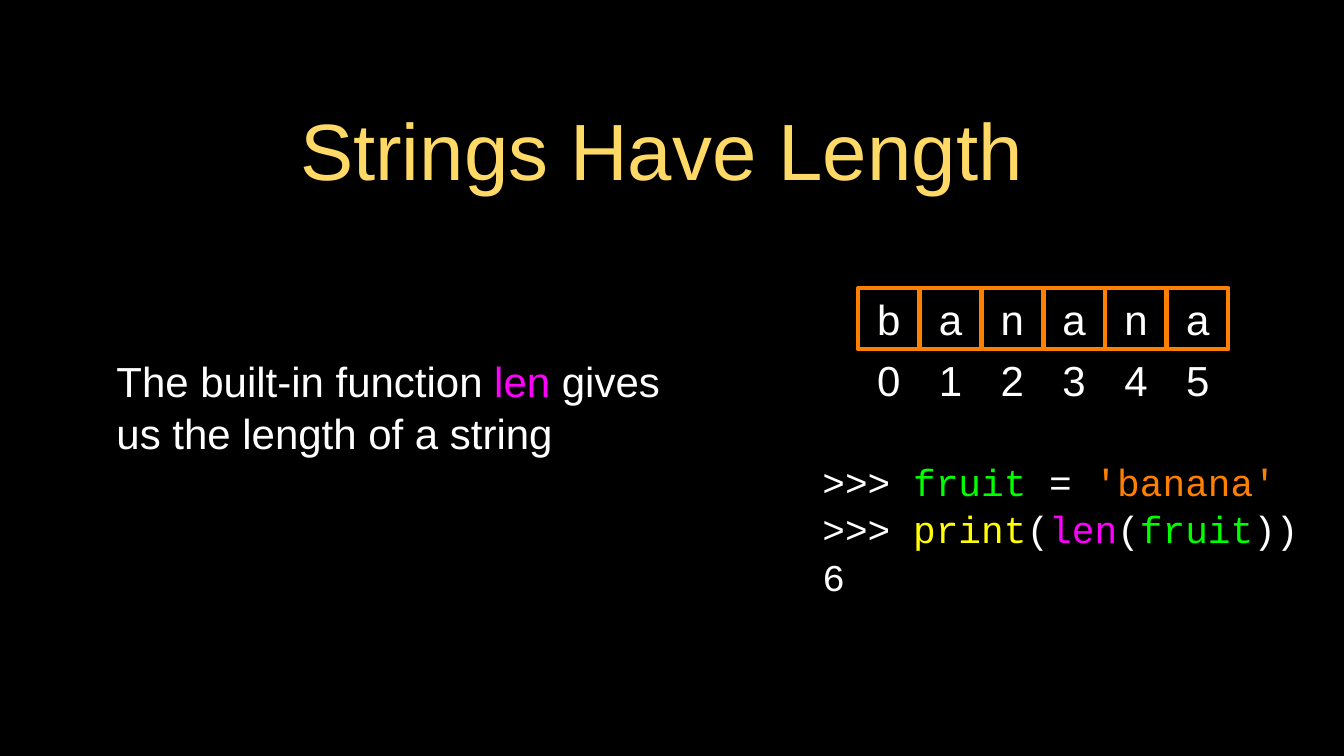
from dataclasses import dataclass

from pptx import Presentation
from pptx import util as u
from pptx.dml.color import RGBColor
from pptx.enum import shapes, text

WIDTH, HEIGHT = u.Inches(17.78), u.Inches(10)
BLACK, WHITE, GOLD = "000000", "FFFFFF", "FFD966"
ORANGE, GREEN, YELLOW, MAGENTA = "FF7F00", "00FF00", "FFFF00", "FF00FF"
SANS, MONO = "Arial", "Courier New"


@dataclass(frozen=True)
class Area:
    """Position and size in percent of the slide."""
    left: float
    top: float
    width: float
    height: float

    def box(self) -> tuple[int, int, int, int]:
        return (int(WIDTH * self.left / 100), int(HEIGHT * self.top / 100),
                int(WIDTH * self.width / 100), int(HEIGHT * self.height / 100))


@dataclass(frozen=True)
class Style:
    font: str
    size: int
    align: text.PP_ALIGN = text.PP_ALIGN.LEFT
    inset: float = 0
    spacing: float = 1.0


@dataclass(frozen=True)
class Grid:
    left: float
    top: float
    column: float
    cell_width: float
    cell_height: float

    def cell(self, column: int, row: int) -> Area:
        return Area(self.left + column * self.column,
                    self.top + row * self.cell_height,
                    self.cell_width, self.cell_height)


Line = list[tuple[str, str]]

HEADING = Style(SANS, 76, text.PP_ALIGN.CENTER, 0.04)
STATEMENT = Style(SANS, 40, inset=0.04, spacing=1.04)
CODE = Style(MONO, 36, spacing=1.05)
LETTER = Style(SANS, 40, text.PP_ALIGN.CENTER)

LETTERS = Grid(63.84, 38.1, 4.6, 4.56, 8.1)
WORD = "banana"
EXPLANATION: list[Line] = [
    [("The built-in function ", WHITE), ("len", MAGENTA),
     (" gives us the length of a string", WHITE)],
]
SESSION: list[Line] = [
    [(">>> ", WHITE), ("fruit", GREEN), (" = ", WHITE), ("'banana'", ORANGE)],
    [(">>> ", WHITE), ("print", YELLOW), ("(", WHITE), ("len", MAGENTA),
     ("(", WHITE), ("fruit", GREEN), ("))", WHITE)],
    [("6", WHITE)],
]


def rgb(color: str) -> RGBColor:
    return RGBColor.from_string(color)


def write(shape, lines: list[Line], style: Style, indent: float = 0) -> None:
    frame = shape.text_frame
    frame.word_wrap = True
    frame.auto_size = text.MSO_AUTO_SIZE.NONE
    frame.vertical_anchor = text.MSO_ANCHOR.MIDDLE
    frame.margin_left = u.Inches(style.inset + indent)
    frame.margin_right = frame.margin_top = frame.margin_bottom = u.Inches(style.inset)
    for index, line in enumerate(lines):
        paragraph = frame.paragraphs[0] if index == 0 else frame.add_paragraph()
        paragraph.alignment = style.align
        paragraph.line_spacing = style.spacing
        for words, color in line:
            run = paragraph.add_run()
            run.text = words
            run.font.name = style.font
            run.font.size = u.Pt(style.size)
            run.font.color.rgb = rgb(color)


def add_words(slide, area: Area, lines: list[Line], style: Style,
              indent: float = 0) -> None:
    write(slide.shapes.add_textbox(*area.box()), lines, style, indent)


def add_letter(slide, area: Area, letter: str) -> None:
    square = slide.shapes.add_shape(shapes.MSO_SHAPE.RECTANGLE, *area.box())
    square.shadow.inherit = False
    square.fill.background()
    square.line.color.rgb = rgb(ORANGE)
    square.line.width = u.Pt(4)
    write(square, [[(letter, WHITE)]], LETTER)


def main() -> None:
    deck = Presentation()
    deck.slide_width, deck.slide_height = WIDTH, HEIGHT
    slide = deck.slides.add_slide(deck.slide_layouts.get_by_name("Title Only"))
    slide.background.fill.solid()
    slide.background.fill.fore_color.rgb = rgb(BLACK)

    heading = slide.shapes.title
    heading.left, heading.top, heading.width, heading.height = Area(
        6.36, 2.8, 85.71, 33.7).box()
    write(heading, [[("Strings Have Length", GOLD)]], HEADING)

    add_words(slide, Area(7.09, 28.5, 45.44, 50.4), EXPLANATION, STATEMENT, 0.24)
    add_words(slide, Area(61.19, 60.7, 38.81, 18.2), SESSION, CODE)
    for position, letter in enumerate(WORD):
        add_words(slide, LETTERS.cell(position, 1), [[(str(position), WHITE)]], LETTER)
        add_letter(slide, LETTERS.cell(position, 0), letter)

    deck.save("out.pptx")


if __name__ == "__main__":
    main()
